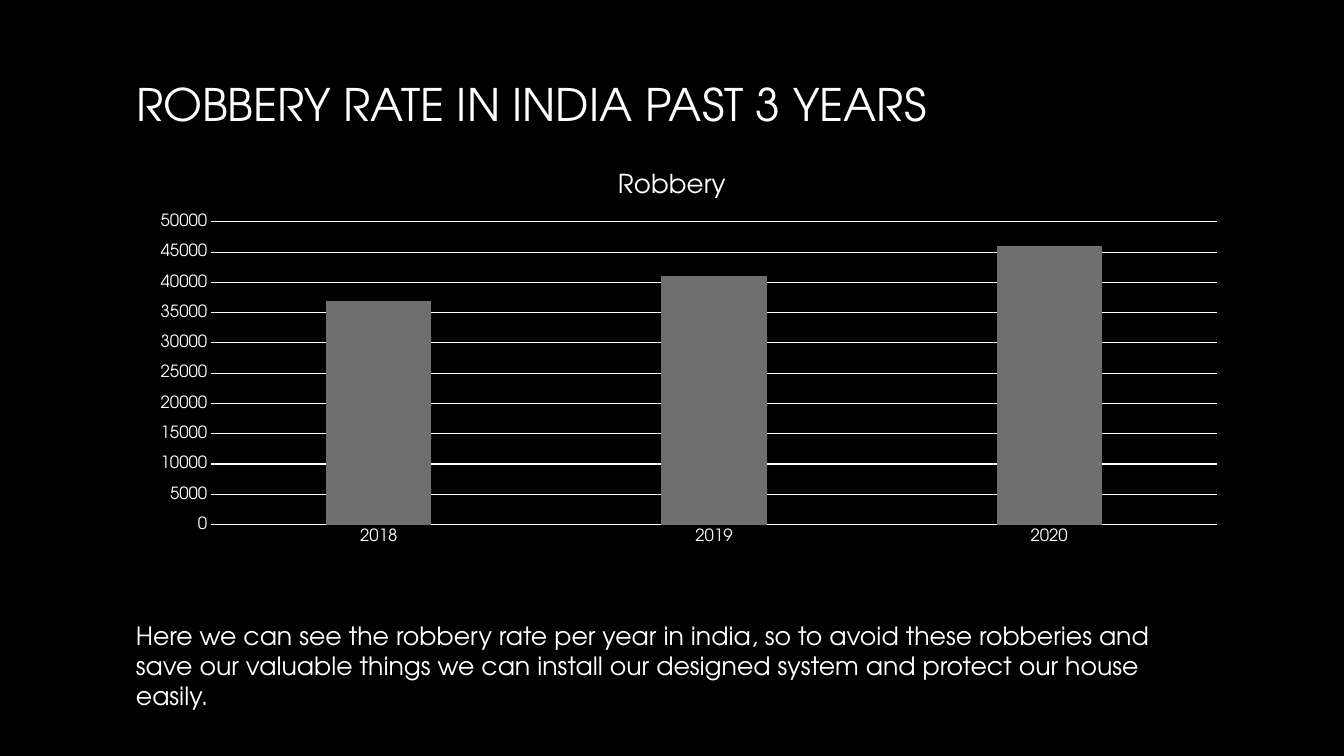
from dataclasses import dataclass

from pptx import Presentation
from pptx.chart.data import CategoryChartData
from pptx.dml.color import RGBColor
from pptx.enum import chart as ch, text
from pptx.oxml import parse_xml
from pptx.oxml.ns import nsdecls
from pptx.util import Inches, Pt

FONT = "TeX Gyre Adventor"
COLORS = {"background": "000000", "text": "FFFFFF", "fade": "A6A6A6", "bar": "6F6F6F"}


@dataclass
class Box:
    left: float
    top: float
    width: float
    height: float

    def emu(self) -> tuple:
        return tuple(Inches(v) for v in (self.left, self.top, self.width, self.height))


TITLE = Box(1.25, 0.67, 10.83, 0.72)
CHART = Box(1.25, 1.52, 10.83, 4.01)
NOTE = Box(1.25, 6.1, 10.83, 1.01)
PLOT = {"x": 7.8, "y": 17, "w": 92.1, "h": 74.9}  # percent of the chart
ROBBERIES = {"2018": 37000, "2019": 41000, "2020": 46000}


def rgb(name: str) -> RGBColor:
    return RGBColor.from_string(COLORS[name])


def style_font(font, size: float) -> None:
    font.name, font.size, font.bold = FONT, Pt(size), False
    font.color.rgb = rgb("text")


def style_line(line) -> None:
    line.color.rgb = rgb("text")
    line.width = Pt(0.75)


def add_title(s) -> None:
    sp = s.shapes.title
    sp.left, sp.top, sp.width, sp.height = TITLE.emu()
    tf = sp.text_frame
    tf.text = "ROBBERY RATE IN INDIA PAST 3 YEARS"
    tf.vertical_anchor = text.MSO_ANCHOR.MIDDLE
    p = tf.paragraphs[0]
    p.alignment = text.PP_ALIGN.LEFT
    style_font(p.font, 32)
    # White fading to grey, downwards
    fill = p.font.fill
    fill.gradient()
    fill.gradient_angle = 267
    for stop, name in zip(fill.gradient_stops, ("text", "fade")):
        stop.color.rgb = rgb(name)


def add_robbery_chart(s) -> None:
    data = CategoryChartData()
    data.categories = list(ROBBERIES)
    data.add_series("Series 1", list(ROBBERIES.values()))
    chart = s.shapes.add_chart(ch.XL_CHART_TYPE.COLUMN_CLUSTERED, *CHART.emu(), data).chart
    style_font(chart.font, 10)
    chart.has_legend = False

    # Chart title
    chart.has_title = True
    tf = chart.chart_title.text_frame
    tf.text = "Robbery"
    style_font(tf.paragraphs[0].font, 18.6)
    chart.chart_title.include_in_layout = False

    # Bars
    plot = chart.plots[0]
    plot.gap_width, plot.overlap, plot.vary_by_categories = 219, -27, False
    fill = plot.series[0].format.fill
    fill.solid()
    fill.fore_color.rgb = rgb("bar")

    # Axes and gridlines
    years, counts = chart.category_axis, chart.value_axis
    for axis in (years, counts):
        axis.major_tick_mark = axis.minor_tick_mark = ch.XL_TICK_MARK.NONE
        style_font(axis.tick_labels.font, 12)
    style_line(years.format.line)
    counts.format.line.fill.background()
    counts.minimum_scale, counts.maximum_scale, counts.major_unit = 0, 50000, 5000
    counts.has_major_gridlines = True
    style_line(counts.major_gridlines.format.line)

    # Inner plot area
    area = plot._element.getparent()
    for old in area.findall("{*}layout"):
        area.remove(old)
    sizes = "".join(f'<c:{key} val="{value / 100:.3f}"/>' for key, value in PLOT.items())
    area.insert(0, parse_xml(
        f'<c:layout {nsdecls("c")}><c:manualLayout><c:layoutTarget val="inner"/>'
        f'<c:xMode val="edge"/><c:yMode val="edge"/>{sizes}</c:manualLayout></c:layout>'))


def add_note(s) -> None:
    tf = s.shapes.add_textbox(*NOTE.emu()).text_frame
    tf.word_wrap = True
    tf.auto_size = text.MSO_AUTO_SIZE.SHAPE_TO_FIT_TEXT
    tf.text = ("Here we can see the robbery rate per year in india, so to avoid these "
               "robberies and save our valuable things we can install our designed "
               "system and protect our house easily.")
    style_font(tf.paragraphs[0].font, 18)


def main() -> None:
    prs = Presentation()
    prs.slide_width, prs.slide_height = Inches(13.33), Inches(7.5)
    s = prs.slides.add_slide(prs.slide_layouts[5])
    s.background.fill.solid()
    s.background.fill.fore_color.rgb = rgb("background")
    add_title(s)
    add_robbery_chart(s)
    add_note(s)
    prs.save("out.pptx")


if __name__ == "__main__":
    main()
